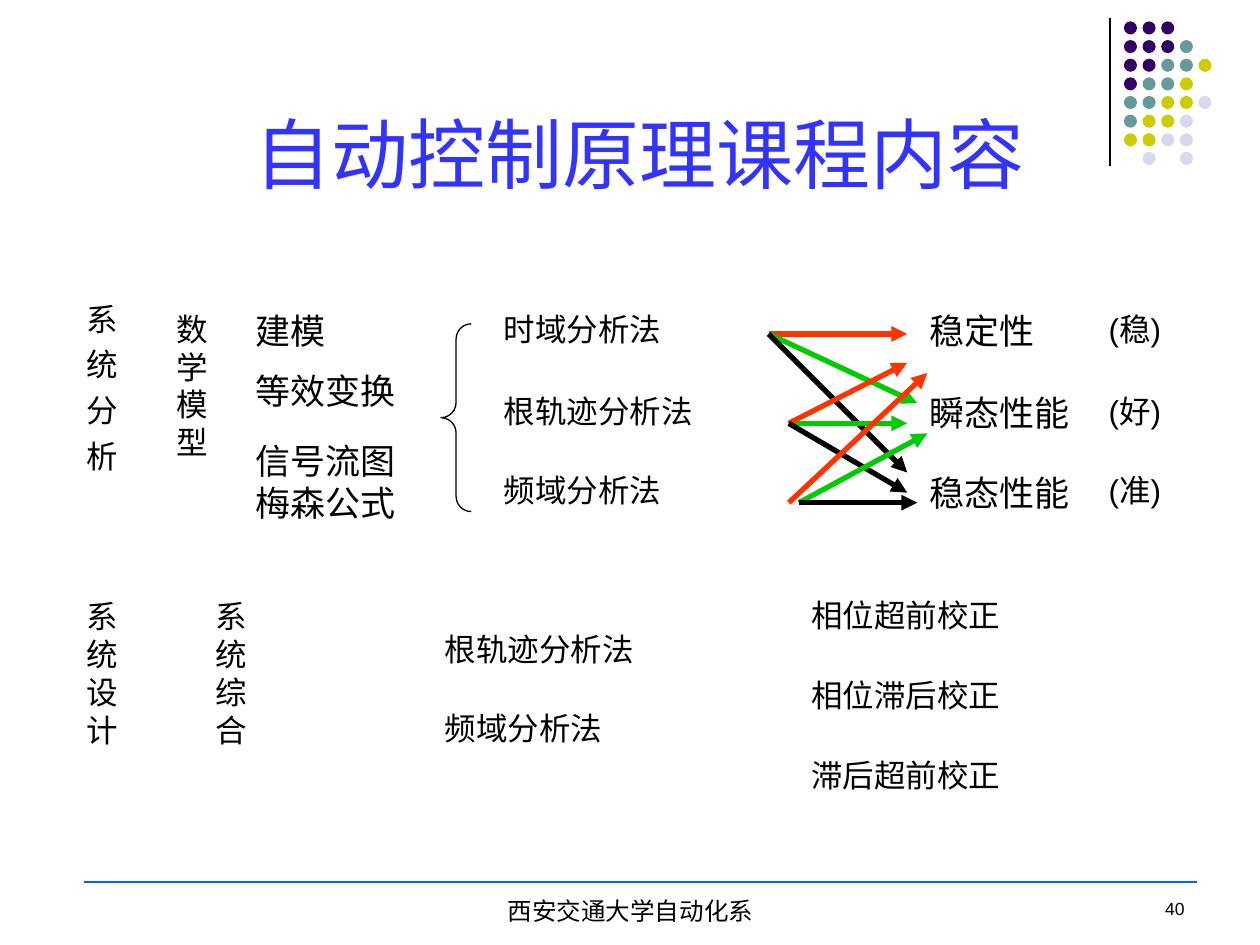
import typing

import lxml.etree
import pptx
import pptx.dml.color
import pptx.enum.shapes
import pptx.enum.text
import pptx.oxml.ns
import pptx.util

RGB = pptx.dml.color.RGBColor
Align = pptx.enum.text.PP_ALIGN
Anchor = pptx.enum.text.MSO_ANCHOR
Kind = pptx.enum.shapes.MSO_SHAPE

BLACK = RGB(0x00, 0x00, 0x00)
TITLE = RGB(0x33, 0x33, 0xFF)
RULE = RGB(0x00, 0x66, 0xFF)
RED = RGB(0xFF, 0x33, 0x00)
GREEN = RGB(0x00, 0xCC, 0x00)
DOTS = {
    "P": RGB(0x33, 0x00, 0x66),
    "T": RGB(0x66, 0x99, 0x99),
    "Y": RGB(0xCC, 0xCC, 0x00),
    "L": RGB(0xD8, 0xD8, 0xEC),
}
PATTERN = ("PPP", "PPPT", "PPTTY", "PTTY", "TTYYL", "TYYL", "YYLL", " L L")
PITCH = 1.48

# The slide is a grid of 100 columns by 75 rows.
WIDTH, HEIGHT = pptx.util.Inches(10), pptx.util.Inches(7.5)
COLS, ROWS = 100, 75


class Label(typing.NamedTuple):
    text: str
    col: float
    row: float
    wide: float
    high: float = 5.3
    size: float = 18
    gap: float = 0
    align: Align = Align.LEFT


class Arrow(typing.NamedTuple):
    start: tuple[float, float]
    end: tuple[float, float]
    color: RGB


def across(col: float) -> int:
    return round(WIDTH * col / COLS)


def down(row: float) -> int:
    return round(HEIGHT * row / ROWS)


def place(col: float, row: float, wide: float, high: float) -> tuple:
    return across(col), down(row), across(wide), down(high)


def write(frame, text: str, *, size: float = 18, font: str = "Arial",
          color: RGB = BLACK, align: Align = Align.LEFT,
          anchor: Anchor = Anchor.TOP, gap: float = 0) -> None:
    """Fill a frame, one paragraph per line; gap is the space between them."""
    frame.text = text
    frame.word_wrap = True
    frame.auto_size = pptx.enum.text.MSO_AUTO_SIZE.NONE
    frame.vertical_anchor = anchor
    for i, para in enumerate(frame.paragraphs):
        para.alignment = align
        para.space_before = pptx.util.Pt(gap if i else 0)
        para.font.size = pptx.util.Pt(size)
        para.font.name = font
        para.font.color.rgb = color


def label(slide, item: Label) -> None:
    box = slide.shapes.add_textbox(
        *place(item.col, item.row, item.wide, item.high))
    write(box.text_frame, item.text, size=item.size, gap=item.gap,
          align=item.align)


def stroke(slide, start: tuple, end: tuple, color: RGB, width: float):
    line = slide.shapes.add_connector(
        pptx.enum.shapes.MSO_CONNECTOR.STRAIGHT,
        across(start[0]), down(start[1]), across(end[0]), down(end[1]))
    line.line.color.rgb = color
    line.line.width = pptx.util.Pt(width)
    props = line._element.spPr
    lxml.etree.SubElement(props, pptx.oxml.ns.qn("a:effectLst"))
    return line


def point(slide, arrow: Arrow) -> None:
    line = stroke(slide, arrow.start, arrow.end, arrow.color, 3)
    head = lxml.etree.SubElement(
        line.line._get_or_add_ln(), pptx.oxml.ns.qn("a:tailEnd"))
    head.set("type", "triangle")


def dots(slide) -> None:
    for r, marks in enumerate(PATTERN):
        for c, mark in enumerate(marks):
            if mark not in DOTS:
                continue
            dot = slide.shapes.add_shape(
                Kind.OVAL, *place(89.2 + c * PITCH, 1.7 + r * PITCH, 1.04, 1.04))
            dot.shadow.inherit = False
            dot.fill.solid()
            dot.fill.fore_color.rgb = DOTS[mark]
            dot.line.fill.background()


def brace(slide) -> None:
    shape = slide.shapes.add_shape(
        Kind.LEFT_BRACE, *place(35, 25.7, 2.4, 14.9))
    shape.adjustments[0] = 0.5
    shape.shadow.inherit = False
    shape.fill.background()
    shape.line.color.rgb = BLACK
    shape.line.width = pptx.util.Pt(0.75)


def stack(word: str) -> str:
    """Set a word upright, one letter to a line."""
    return "\n".join(word)


TOPS = (24.1, 30.6, 36.9)
LOWER = (46.8, 53.2, 59.5)
METHODS = ("时域分析法", "根轨迹分析法", "频域分析法")
GOALS = ("稳定性", "瞬态性能", "稳态性能")
MARKS = ("(稳)", "(好)", "(准)")
FIXES = ("相位超前校正", "相位滞后校正", "滞后超前校正")

LABELS = [
    Label("西安交通大学自动化系", 34.2, 70.6, 31.7, 3.6, 14, align=Align.CENTER),
    Label("40", 71.7, 70.8, 23.3, 3.5, 10, align=Align.RIGHT),
    Label(stack("系统分析"), 5.9, 23.3, 5.5, 19.7, gap=4.5),
    Label(stack("数学模型"), 13, 24.1, 5.5, 18.1),
    Label(stack("系统设计"), 5.9, 46.9, 5.5, 19.7),
    Label(stack("系统综合"), 16.1, 46.9, 6.3, 16.5),
    Label("建模", 19.3, 24.1, 17.3, size=20),
    Label("等效变换", 19.3, 28.8, 17.3, size=20),
    Label("信号流图\n梅森公式", 19.3, 34.4, 13.4, 8.5, 20),
    Label(METHODS[1], 34.3, 49.5, 22.9),
    Label(METHODS[2], 34.3, 55.8, 22.9),
]
for top, method, goal, mark in zip(TOPS, METHODS, GOALS, MARKS):
    LABELS += [Label(method, 39, top, 22.9),
               Label(goal, 72.8, top, 17.3, size=20),
               Label(mark, 87, top, 11)]
LABELS += [Label(fix, 63.4, top, 22.8) for top, fix in zip(LOWER, FIXES)]

TIME, ROOT, FREQ = (61, 26.5), (62.6, 33.6), (63.4, 39.9)
ARROWS = [
    Arrow(TIME, (72, 26.5), RED),
    Arrow(TIME, (72.8, 32), GREEN),
    Arrow(TIME, (72, 37.5), BLACK),
    Arrow(ROOT, (72, 33.6), GREEN),
    Arrow(ROOT, (72, 28.8), RED),
    Arrow(ROOT, (72, 39.1), BLACK),
    Arrow((62.6, 39.9), (73.6, 29.6), RED),
    Arrow(FREQ, (73.6, 34.4), GREEN),
    Arrow(FREQ, (72.8, 39.9), BLACK),
]


def main() -> None:
    deck = pptx.Presentation()
    deck.slide_width, deck.slide_height = WIDTH, HEIGHT
    slide = deck.slides.add_slide(deck.slide_layouts[5])

    title = slide.shapes.title
    title.left, title.top, title.width, title.height = place(8.3, 8.4, 85, 7.9)
    write(title.text_frame, "自动控制原理课程内容", size=44,
          font="Noto Sans CJK JP", color=TITLE, align=Align.CENTER,
          anchor=Anchor.BOTTOM)

    stroke(slide, (88.1, 1.4), (88.1, 13.2), BLACK, 0.75)
    dots(slide)
    stroke(slide, (6.7, 70), (95, 70), RULE, 1.25)
    brace(slide)
    for arrow in ARROWS:
        point(slide, arrow)
    for item in LABELS:
        label(slide, item)
    deck.save("out.pptx")


if __name__ == "__main__":
    main()
